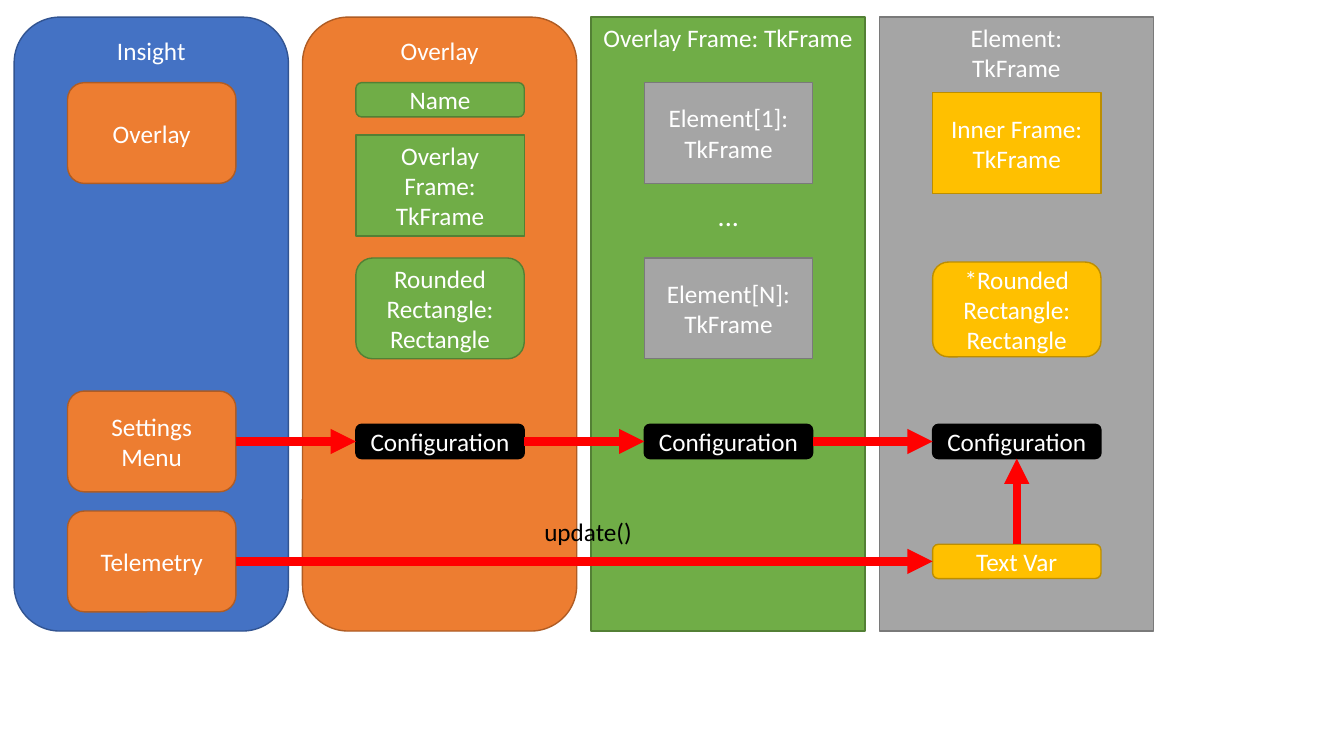
from dataclasses import dataclass

from lxml.etree import SubElement
from pptx import Presentation
from pptx.dml.color import RGBColor
from pptx.enum.shapes import MSO_CONNECTOR as Connector, MSO_SHAPE as Preset
from pptx.enum.text import MSO_ANCHOR as Anchor, PP_ALIGN as Align
from pptx.oxml.ns import qn
from pptx.util import Inches, Pt

BLUE, ORANGE, GREEN = "4472C4", "ED7D31", "70AD47"
GRAY, YELLOW, BLACK = "A5A5A5", "FFC000", "000000"
WHITE, RED = "FFFFFF", "FF0000"
OUTLINES = {BLUE: "325491", ORANGE: "AF5C24", GREEN: "538035",
            GRAY: "7A7A7A", YELLOW: "BD8E00", BLACK: BLACK}

COLUMN_LEFT, COLUMN_STEP, COLUMN_WIDTH = 0.14, 2.86, 2.72
COLUMN_TOP, COLUMN_HEIGHT = 0.17, 6.09
BOX_LEFT, BOX_WIDTH = 0.67, 1.67
TALL, LOW = 1.0, 0.34
CONFIGURATION_TOP, CONFIGURATION_Y, TELEMETRY_Y = 4.21, 4.38, 5.57


@dataclass
class Box:
    text: str
    top: float
    height: float
    color: str
    rounded: bool = True


@dataclass
class Column:
    title: str
    color: str
    rounded: bool
    boxes: list[Box]


@dataclass
class Arrow:
    start_x: float
    start_y: float
    end_x: float
    end_y: float


def rgb(color: str) -> RGBColor:
    return RGBColor.from_string(color)


def add_text(frame, text: str, color: str, alignment: Align, size: float = 18) -> None:
    for index, line in enumerate(text.split("\n")):
        paragraph = frame.add_paragraph() if index else frame.paragraphs[0]
        paragraph.alignment = alignment
        run = paragraph.add_run()
        run.text = line
        run.font.name = "Calibri"
        run.font.size = Pt(size)
        run.font.color.rgb = rgb(color)


def add_box(slide, box: Box, left: float, width: float, anchor: Anchor) -> None:
    preset = Preset.ROUNDED_RECTANGLE if box.rounded else Preset.RECTANGLE
    shape = slide.shapes.add_shape(
        preset, Inches(left), Inches(box.top), Inches(width), Inches(box.height))
    shape.shadow.inherit = False
    shape.fill.solid()
    shape.fill.fore_color.rgb = rgb(box.color)
    shape.line.color.rgb = rgb(OUTLINES[box.color])
    shape.line.width = Pt(1)
    shape.text_frame.word_wrap = True
    shape.text_frame.vertical_anchor = anchor
    add_text(shape.text_frame, box.text, WHITE, Align.CENTER)


def add_column(slide, column: Column, index: int) -> None:
    offset = index * COLUMN_STEP
    panel = Box(column.title, COLUMN_TOP, COLUMN_HEIGHT, column.color, column.rounded)
    add_box(slide, panel, COLUMN_LEFT + offset, COLUMN_WIDTH, Anchor.TOP)
    for box in column.boxes:
        add_box(slide, box, BOX_LEFT + offset, BOX_WIDTH, Anchor.MIDDLE)


def add_arrow(slide, arrow: Arrow) -> None:
    connector = slide.shapes.add_connector(
        Connector.STRAIGHT, Inches(arrow.start_x), Inches(arrow.start_y),
        Inches(arrow.end_x), Inches(arrow.end_y))
    connector.line.color.rgb = rgb(RED)
    connector.line.width = Pt(6)
    SubElement(connector.line._get_or_add_ln(), qn("a:tailEnd"), type="triangle")
    SubElement(connector._element.spPr, qn("a:effectLst"))


def add_label(slide, text: str, left: float, top: float, width: float,
              height: float, color: str, size: float, wrap: bool) -> None:
    label = slide.shapes.add_textbox(
        Inches(left), Inches(top), Inches(width), Inches(height))
    label.text_frame.word_wrap = wrap
    add_text(label.text_frame, text, color, Align.LEFT, size)


configuration = Box("Configuration", CONFIGURATION_TOP, LOW, BLACK)
columns = [
    Column("Insight", BLUE, True, [
        Box("Overlay", 0.82, TALL, ORANGE),
        Box("Settings\nMenu", 3.88, TALL, ORANGE),
        Box("Telemetry", 5.07, TALL, ORANGE),
    ]),
    Column("Overlay", ORANGE, True, [
        Box("Name", 0.82, LOW, GREEN),
        Box("Overlay Frame: TkFrame", 1.34, TALL, GREEN, rounded=False),
        Box("Rounded\nRectangle:\nRectangle", 2.56, TALL, GREEN),
        configuration,
    ]),
    Column("Overlay Frame: TkFrame", GREEN, False, [
        Box("Element[1]: TkFrame", 0.82, TALL, GRAY, rounded=False),
        Box("Element[N]: TkFrame", 2.56, TALL, GRAY, rounded=False),
        configuration,
    ]),
    Column("Element:\nTkFrame", GRAY, False, [
        Box("Inner Frame:\nTkFrame", 0.92, TALL, YELLOW, rounded=False),
        Box("*Rounded\nRectangle:\nRectangle", 2.6, 0.94, YELLOW),
        configuration,
        Box("Text Var", 5.4, LOW, YELLOW),
    ]),
]

box_lefts = [BOX_LEFT + index * COLUMN_STEP for index in range(len(columns))]
first_right = box_lefts[0] + BOX_WIDTH
last_center = box_lefts[-1] + BOX_WIDTH / 2
arrows = [Arrow(left + BOX_WIDTH, CONFIGURATION_Y, next_left, CONFIGURATION_Y)
          for left, next_left in zip(box_lefts, box_lefts[1:])]
arrows += [
    Arrow(first_right, TELEMETRY_Y, box_lefts[-1], TELEMETRY_Y),
    Arrow(last_center, 5.4, last_center, CONFIGURATION_TOP + LOW),
]

presentation = Presentation()
presentation.slide_width = Inches(13.33)
presentation.slide_height = Inches(7.5)
slide = presentation.slides.add_slide(presentation.slide_layouts[6])

for index, column in enumerate(columns):
    add_column(slide, column, index)
for arrow in arrows:
    add_arrow(slide, arrow)
add_label(slide, "...", 7.02, 1.92, 0.41, 0.44, WHITE, 20, wrap=False)
add_label(slide, "update()", 5.3, 5.07, 1.47, 0.4, BLACK, 18, wrap=True)

presentation.save("out.pptx")
